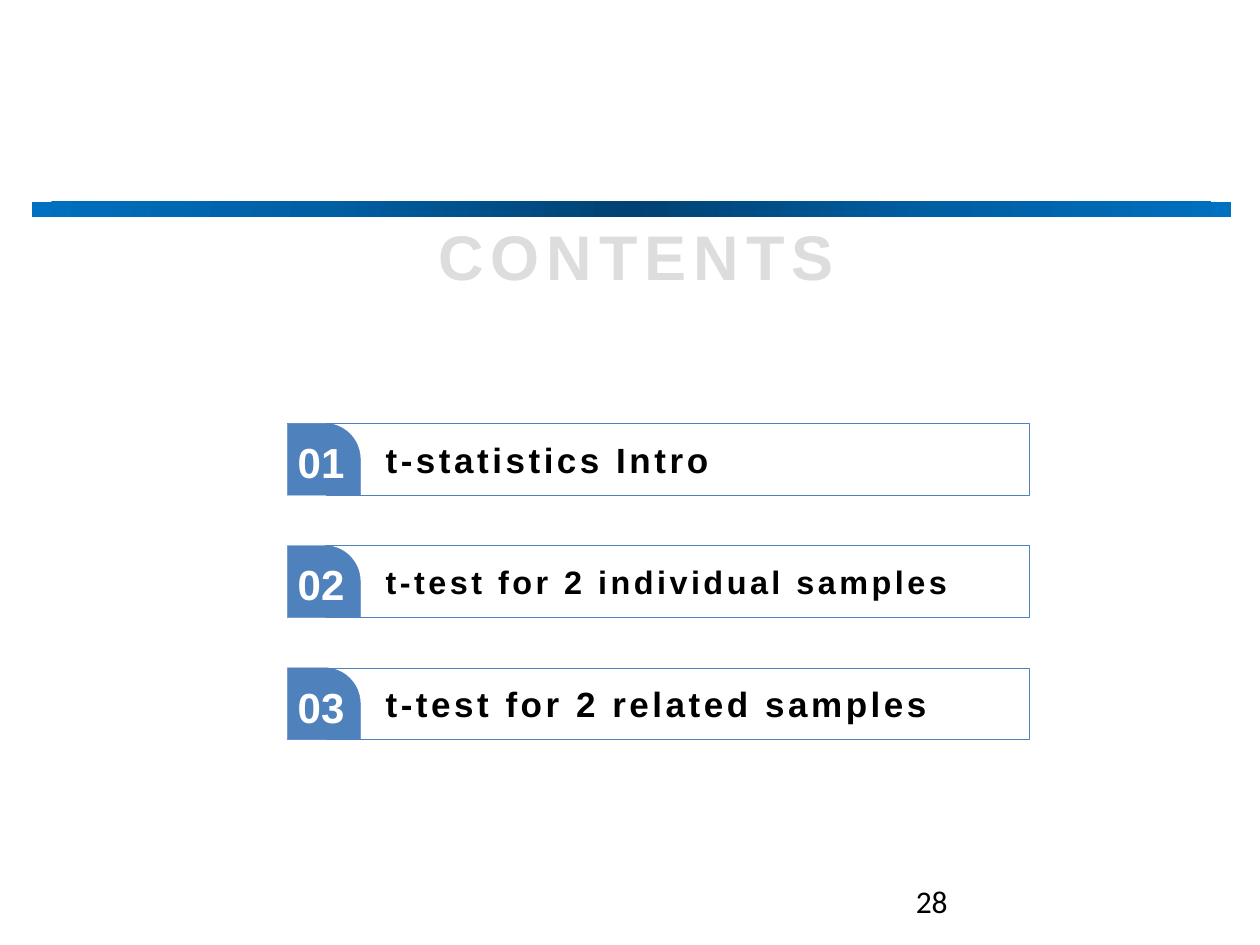
from pptx import Presentation
from pptx.dml.color import RGBColor
from pptx.enum.shapes import MSO_SHAPE
from pptx.enum.text import MSO_ANCHOR, PP_ALIGN
from pptx.oxml import parse_xml
from pptx.oxml.ns import nsdecls
from pptx.util import Inches, Pt

BLUE = "4F81BD"
TOP, STEP, ROW = 3.36, 0.97, 0.57
ITEMS = [
    ("t-statistics Intro", 20),
    ("t-test for 2 individual samples", 18.5),
    ("t-test for 2 related samples", 20),
]


def paint(hue):
    """Turn a hex string into a colour."""
    return RGBColor.from_string(hue)


def write(shape, words, size, hue="000000", font="Arial", bold=True,
          gap=0, align=PP_ALIGN.LEFT):
    """Add one styled run to a shape."""
    para = shape.text_frame.paragraphs[0]
    para.alignment = align
    run = para.add_run()
    run.text = words
    run.font.size = Pt(size)
    run.font.name = font
    run.font.bold = bold
    run.font.color.rgb = paint(hue)
    if gap:
        run.font._element.set("spc", str(gap * 100))


def pad(shape, left, top):
    """Set the insets and centre the text vertically."""
    frame = shape.text_frame
    frame.word_wrap = True
    frame.vertical_anchor = MSO_ANCHOR.MIDDLE
    frame.margin_left, frame.margin_top = Inches(left), Inches(top)
    frame.margin_right = frame.margin_bottom = 0


def block(slide, kind, box, fill=None):
    """Add a thinly outlined shape."""
    shape = slide.shapes.add_shape(kind, *map(Inches, box))
    shape.shadow.inherit = False
    if fill:
        shape.fill.solid()
        shape.fill.fore_color.rgb = paint(fill)
    else:
        shape.fill.background()
    shape.line.color.rgb = paint(BLUE)
    shape.line.width = Pt(0.25)
    return shape


def label(slide, box, words, size, **style):
    """Add a text box with one line."""
    shape = slide.shapes.add_textbox(*map(Inches, box))
    shape.text_frame.word_wrap = True
    write(shape, words, size, **style)


def band(slide, box, hues):
    """Add a bar with a gradient that spreads from its centre."""
    bar = slide.shapes.add_shape(MSO_SHAPE.RECTANGLE, *map(Inches, box))
    share = 100000 // (len(hues) - 1)
    stops = "".join(
        f'<a:gs pos="{i * share}"><a:srgbClr val="{hue}"/></a:gs>'
        for i, hue in enumerate(hues))
    bar._element.spPr.append(parse_xml(
        f'<a:gradFill {nsdecls("a")} rotWithShape="1"><a:gsLst>{stops}</a:gsLst>'
        '<a:path path="circle"><a:fillToRect l="50000" t="50000" '
        'r="50000" b="50000"/></a:path></a:gradFill>'))
    bar.line.fill.background()
    bar.shadow.inherit = False


def entry(slide, index, words, size):
    """Add one numbered row of the contents."""
    top = TOP + index * STEP
    row = block(slide, MSO_SHAPE.RECTANGLE, (2.59, top, 5.58, ROW))
    pad(row, 0.47, 0)
    write(row, words, size, gap=2)
    tab = block(slide, MSO_SHAPE.ROUND_1_RECTANGLE, (2.28, top, 0.58, ROW), BLUE)
    tab.adjustments[0] = 0.5
    pad(tab, 0.04, 0.04)
    write(tab, f"{index + 1:02d}", 24, hue="FFFFFF", align=PP_ALIGN.CENTER)


def main():
    """Build the contents slide."""
    deck = Presentation()
    deck.slide_width, deck.slide_height = Inches(10), Inches(7.5)
    slide = deck.slides.add_slide(deck.slide_layouts[6])
    band(slide, (0.25, 1.6, 9.52, 0.12), ("004272", "005EA2", "0070C0"))
    label(slide, (2.55, 1.68, 5, 0.7), "CONTENTS", 36, hue="DDDDDD",
          gap=4, align=PP_ALIGN.CENTER)
    for index, (words, size) in enumerate(ITEMS):
        entry(slide, index, words, size)
    label(slide, (7.17, 6.95, 2.33, 0.4), "28", 18, font="Calibri", bold=False)
    deck.save("out.pptx")


if __name__ == "__main__":
    main()
